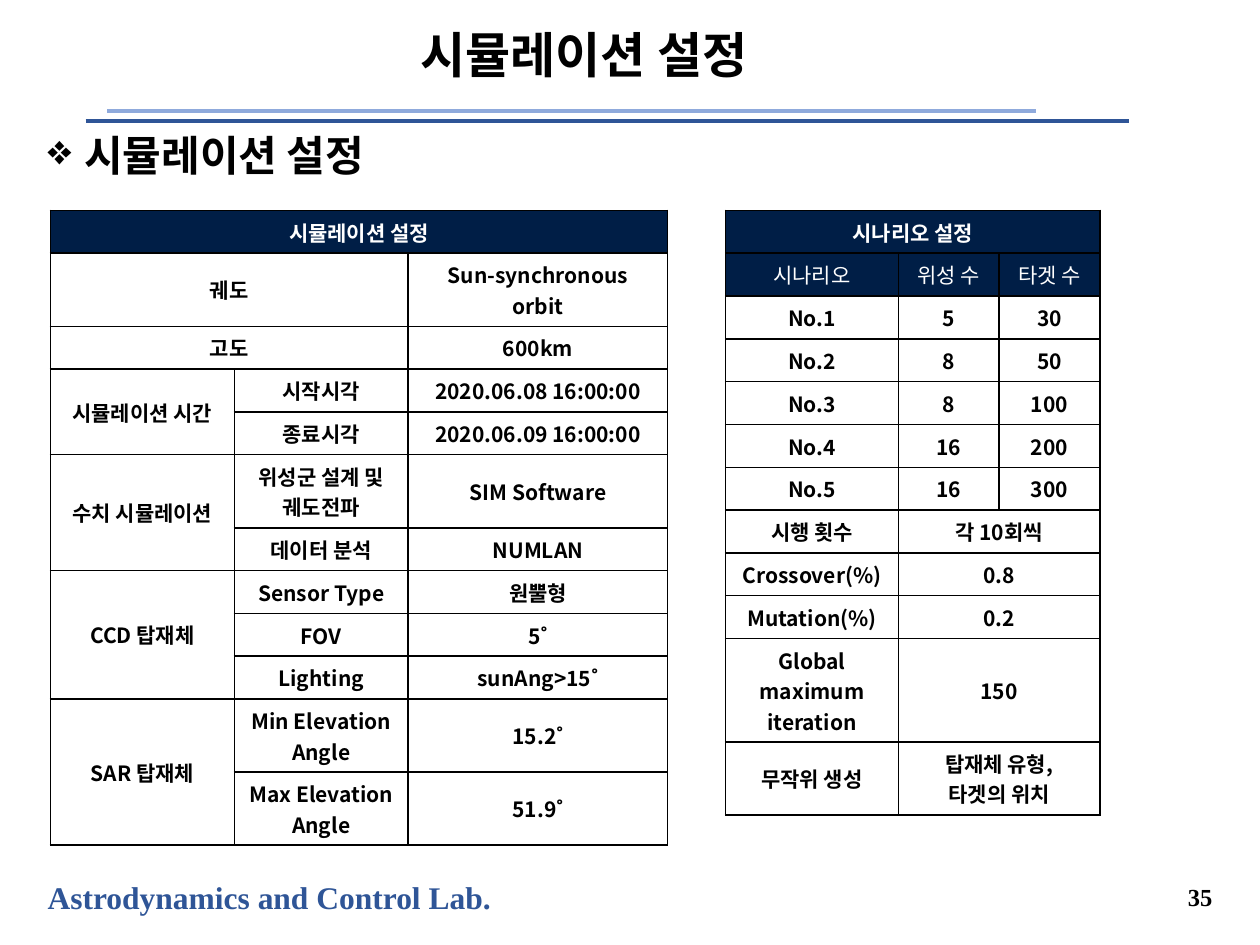
from dataclasses import dataclass

from lxml import etree
from pptx import Presentation
from pptx.dml.color import RGBColor
from pptx.enum.shapes import MSO_CONNECTOR
from pptx.enum.text import MSO_ANCHOR, PP_ALIGN
from pptx.oxml.ns import qn
from pptx.util import Emu, Pt

LEFT, CENTER, RIGHT = PP_ALIGN.LEFT, PP_ALIGN.CENTER, PP_ALIGN.RIGHT
TOP, MIDDLE = MSO_ANCHOR.TOP, MSO_ANCHOR.MIDDLE
STRAIGHT = MSO_CONNECTOR.STRAIGHT
PX = 9144
BLANK_LAYOUT = 6


@dataclass(frozen=True)
class Theme:
    ink: str = "000000"
    paper: str = "FFFFFF"
    navy: str = "001E46"
    blue: str = "2F5597"
    pale_blue: str = "8FAADC"
    serif: str = "Times New Roman"
    sans: str = "Noto Sans CJK KR"
    title: int = 28
    heading: int = 24
    footer: int = 18
    number: int = 14
    cell: int = 12
    rule: float = 2.25
    border: int = 1


THEME = Theme()

ONE_LINE, TWO_LINES, THREE_LINES = 34, 58, 82

SETTINGS = [
    ["시뮬레이션 설정", None, None],
    ["궤도", None, "Sun-synchronous orbit"],
    ["고도", None, "600km"],
    ["시뮬레이션 시간", "시작시각", "2020.06.08 16:00:00"],
    [None, "종료시각", "2020.06.09 16:00:00"],
    ["수치 시뮬레이션", "위성군 설계 및\n궤도전파", "SIM Software"],
    [None, "데이터 분석", "NUMLAN"],
    ["CCD 탑재체", "Sensor Type", "원뿔형"],
    [None, "FOV", "5˚"],
    [None, "Lighting", "sunAng>15˚"],
    ["SAR 탑재체", "Min Elevation Angle", "15.2˚"],
    [None, "Max Elevation Angle", "51.9˚"],
]
SETTINGS_MERGES = [(0, 0, 0, 2), (1, 0, 1, 1), (2, 0, 2, 1), (3, 0, 4, 0),
                   (5, 0, 6, 0), (7, 0, 9, 0), (10, 0, 11, 0)]
SETTINGS_TALL = {row: TWO_LINES for row in (1, 5, 10, 11)}

SCENARIOS = [
    ["시나리오 설정", None, None],
    ["시나리오", "위성 수", "타겟 수"],
    ["No.1", "5", "30"],
    ["No.2", "8", "50"],
    ["No.3", "8", "100"],
    ["No.4", "16", "200"],
    ["No.5", "16", "300"],
    ["시행 횟수", "각 10회씩", None],
    ["Crossover(%)", "0.8", None],
    ["Mutation(%)", "0.2", None],
    ["Global maximum iteration", "150", None],
    ["무작위 생성", "탑재체 유형,\n타겟의 위치", None],
]
SCENARIO_MERGES = [(0, 0, 0, 2)] + [(row, 1, row, 2) for row in range(7, 12)]
SCENARIO_TALL = {10: THREE_LINES, 11: TWO_LINES}


def rgb(value):
    return RGBColor.from_string(value)


def add_span(para, text, size, color, face=THEME.serif, bold=True):
    span = para.add_run()
    span.text = text
    span.font.name = face
    span.font.size = Pt(size)
    span.font.bold = bold
    span.font.color.rgb = rgb(color)
    etree.SubElement(span.font._element, qn("a:ea"), typeface=THEME.sans)


def add_text(page, box, text, size, color=THEME.ink, align=LEFT, anchor=MIDDLE, wrap=True):
    frame = page.shapes.add_textbox(*(Emu(n * PX) for n in box)).text_frame
    frame.word_wrap = wrap
    frame.vertical_anchor = anchor
    para = frame.paragraphs[0]
    para.alignment = align
    add_span(para, text, size, color)
    return para


def add_rule(page, left, right, y, color):
    rule = page.shapes.add_connector(
        STRAIGHT, Emu(left * PX), Emu(y * PX), Emu(right * PX), Emu(y * PX))
    rule.line.color.rgb = rgb(color)
    rule.line.width = Pt(THEME.rule)
    etree.SubElement(rule._element.spPr, qn("a:effectLst"))


def add_header(page, box):
    left, top, width, height = box
    add_text(page, (left + 29, top, 733, 75), "시뮬레이션 설정", THEME.title,
             align=CENTER).line_spacing = 0.9
    add_rule(page, left, left + width, top + height, THEME.blue)
    add_rule(page, left + 17, left + 754, top + height - 8, THEME.pale_blue)


def add_heading(page, box):
    para = add_text(page, box, "시뮬레이션 설정", THEME.heading, anchor=TOP)
    para.line_spacing = 0.9
    properties = para._p.get_or_add_pPr()
    properties.set("marL", str(29 * PX))
    properties.set("indent", str(-29 * PX))
    etree.SubElement(properties, qn("a:buChar"), char="❖")


def add_footer(page, box):
    left, top, width, height = box
    add_text(page, (left, top, 376, height), "Astrodynamics and Control Lab.",
             THEME.footer, THEME.blue, anchor=TOP, wrap=False)
    add_text(page, (left + width - 107, top, 107, height), "35", THEME.number, align=RIGHT)


def add_borders(cell):
    properties = cell._tc.get_or_add_tcPr()
    for side in ("lnL", "lnR", "lnT", "lnB"):
        line = etree.SubElement(properties, qn(f"a:{side}"), w=str(Pt(THEME.border)))
        fill = etree.SubElement(line, qn("a:solidFill"))
        etree.SubElement(fill, qn("a:srgbClr"), val=THEME.ink)


def fill_cell(cell, text, header, bold):
    add_borders(cell)
    cell.fill.solid()
    cell.fill.fore_color.rgb = rgb(THEME.navy if header else THEME.paper)
    cell.vertical_anchor = MIDDLE
    color, face = (THEME.paper, THEME.serif) if header else (THEME.ink, THEME.sans)
    frame = cell.text_frame
    if text is None:
        etree.SubElement(frame.paragraphs[0]._p, qn("a:endParaRPr"), sz=str(THEME.cell * 100))
        return
    for index, line in enumerate(text.split("\n")):
        para = frame.add_paragraph() if index else frame.paragraphs[0]
        para.alignment = CENTER
        add_span(para, line, THEME.cell, color, face, bold)


def add_grid(page, left, top, widths, rows, merges, tall, header_rows):
    heights = [tall.get(index, ONE_LINE) for index in range(len(rows))]
    table = page.shapes.add_table(
        len(rows), len(widths), Emu(left * PX), Emu(top * PX),
        Emu(sum(widths) * PX), Emu(sum(heights) * PX)).table
    table.first_row = table.horz_banding = False
    for column, width in zip(table.columns, widths):
        column.width = Emu(width * PX)
    for row, height in zip(table.rows, heights):
        row.height = Emu(height * PX)
    for row_index, row in enumerate(rows):
        for column_index, text in enumerate(row):
            fill_cell(table.cell(row_index, column_index), text,
                      row_index < header_rows, row_index != 1 or header_rows == 1)
    for first_row, first_column, last_row, last_column in merges:
        table.cell(first_row, first_column).merge(table.cell(last_row, last_column))


def main():
    deck = Presentation()
    deck.slide_width, deck.slide_height = Emu(1000 * PX), Emu(750 * PX)
    page = deck.slides.add_slide(deck.slide_layouts[BLANK_LAYOUT])
    add_header(page, (68, 8, 828, 88))
    add_heading(page, (28, 102, 944, 588))
    add_grid(page, 40, 167, (146, 138, 206), SETTINGS, SETTINGS_MERGES, SETTINGS_TALL, 1)
    add_grid(page, 576, 167, (137, 80, 80), SCENARIOS, SCENARIO_MERGES, SCENARIO_TALL, 2)
    add_footer(page, (28, 692, 944, 40))
    deck.save("out.pptx")


if __name__ == "__main__":
    main()
